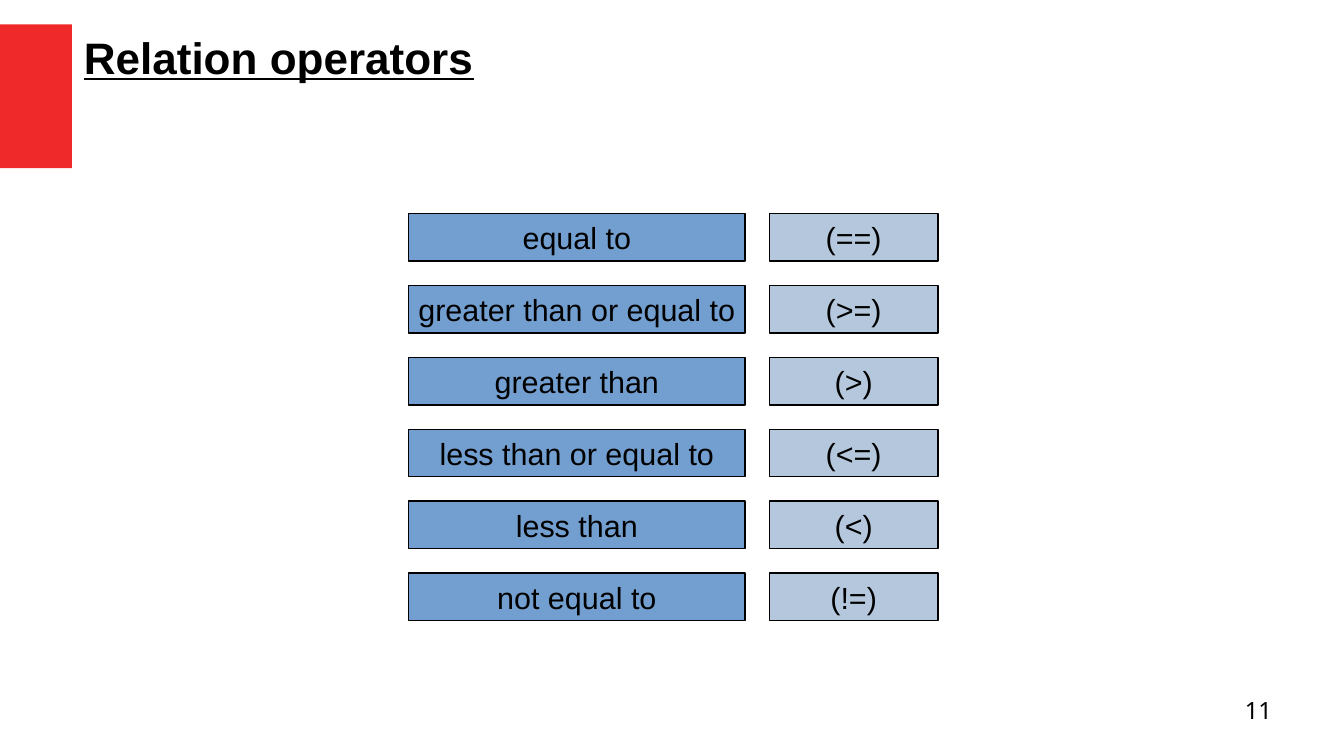
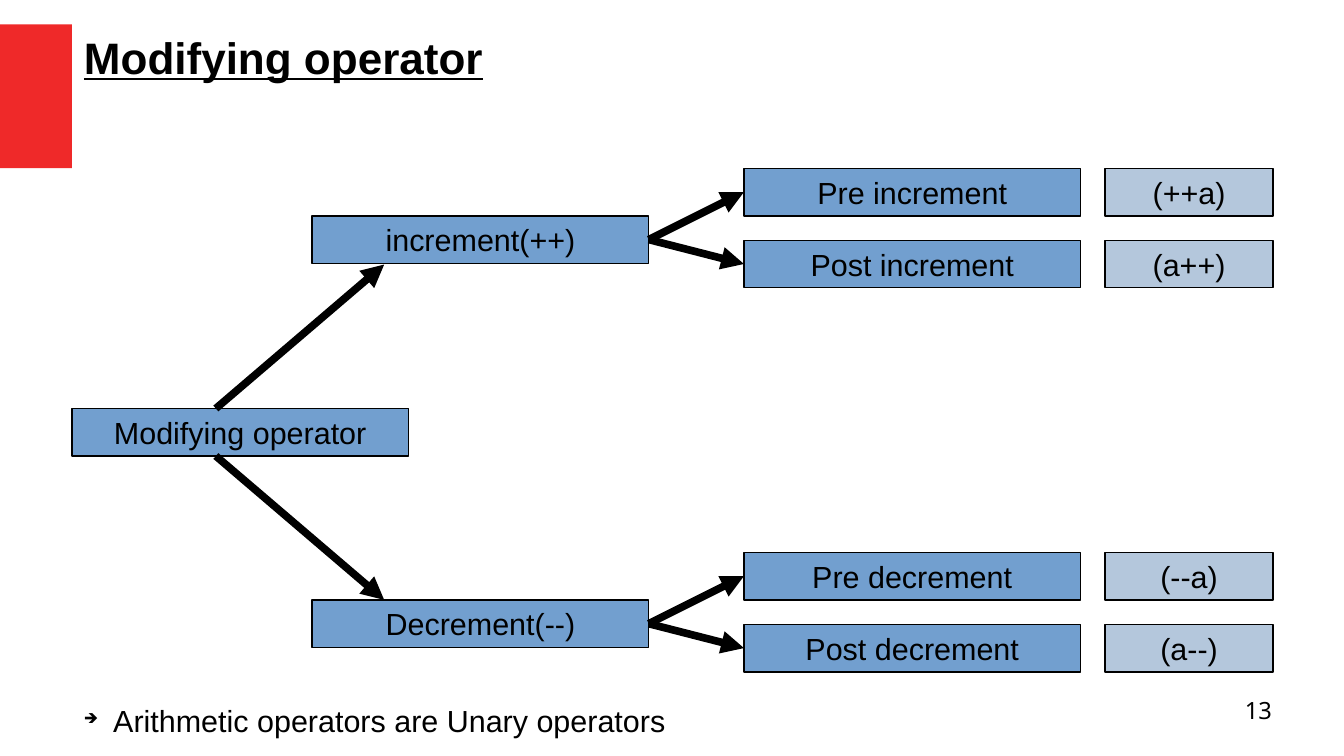
from lxml.etree import SubElement
from pptx import Presentation
from pptx.dml.color import RGBColor
from pptx.enum.shapes import MSO_CONNECTOR as CONN, MSO_SHAPE as SHAPE
from pptx.enum.text import MSO_ANCHOR as ANCHOR, PP_ALIGN as ALIGN
from pptx.oxml.ns import qn
from pptx.util import Inches, Pt

COLORS = {"band": "EF2929", "name": "729FCF", "symbol": "B4C7DC", "ink": "000000"}
FONT, NUMBER_FONT = "Arial", "Noto Sans"
NAME_W, SYMBOL_W, BOX_H = 2.76, 1.38, 0.39
GAP, ROW_STEP = 0.2, 0.59

RELATIONS = [
    ("equal to", "(==)"),
    ("greater than or equal to", "(>=)"),
    ("greater than", "(>)"),
    ("less than or equal to", "(<=)"),
    ("less than", "(<)"),
    ("not equal to", "(!=)"),
]
INCREMENTS = [("Pre increment", "(++a)"), ("Post increment", "(a++)")]
DECREMENTS = [("Pre decrement", "(--a)"), ("Post decrement", "(a--)")]


def rgb(key):
    """Return the named colour."""
    return RGBColor.from_string(COLORS[key])


def add_run(p, text, size, font=FONT, strong=False):
    """Add one run; strong text is bold and underlined."""
    r = p.add_run()
    r.text = text
    r.font.name, r.font.size = font, Pt(size)
    r.font.color.rgb = rgb("ink")
    if strong:
        r.font.bold = r.font.underline = True


def add_text(s, x, y, w, h):
    """Add a wrapping text box and return its frame."""
    tf = s.shapes.add_textbox(*map(Inches, (x, y, w, h))).text_frame
    tf.word_wrap = True
    return tf


def add_rect(s, x, y, w, h, fill):
    """Add a plain filled rectangle."""
    sp = s.shapes.add_shape(SHAPE.RECTANGLE, *map(Inches, (x, y, w, h)))
    sp.shadow.inherit = False
    sp.fill.solid()
    sp.fill.fore_color.rgb = rgb(fill)
    sp.line.fill.background()
    return sp


def add_box(s, x, y, text, w=NAME_W, fill="name"):
    """Add an outlined box with a centred label."""
    sp = add_rect(s, x, y, w, BOX_H, fill)
    sp.line.color.rgb = rgb("ink")
    sp.line.width = Pt(0.85)
    tf = sp.text_frame
    tf.word_wrap = False
    tf.vertical_anchor = ANCHOR.MIDDLE
    p = tf.paragraphs[0]
    p.alignment = ALIGN.CENTER
    add_run(p, text, 18)
    return sp


def add_rows(s, x, y, rows):
    """Stack name and symbol pairs, returning the name boxes."""
    names = []
    for i, (name, symbol) in enumerate(rows):
        top = y + i * ROW_STEP
        names.append(add_box(s, x, top, name))
        add_box(s, x + NAME_W + GAP, top, symbol, SYMBOL_W, "symbol")
    return names


def add_arrow(s, x1=0, y1=0, x2=0, y2=0):
    """Add a thick arrow."""
    c = s.shapes.add_connector(CONN.STRAIGHT, *map(Inches, (x1, y1, x2, y2)))
    c.line.color.rgb = rgb("ink")
    c.line.width = Pt(4.5)
    SubElement(c.line._get_or_add_ln(), qn("a:tailEnd"), type="triangle")
    SubElement(c._element.spPr, qn("a:effectLst"))
    return c


def add_branch(s, x, y, text, rows):
    """Add an operator box with arrows to its two forms."""
    operator = add_box(s, x, y, text)
    for form in add_rows(s, x + 3.54, y - ROW_STEP + GAP, rows):
        arrow = add_arrow(s)
        arrow.begin_connect(operator, 3)
        arrow.end_connect(form, 1)


def add_bullet(s, x, y, w, h, text):
    """Add a line of text led by an arrow bullet."""
    p = add_text(s, x, y, w, h).paragraphs[0]
    pPr = p._p.get_or_add_pPr()
    pPr.set("marL", str(Inches(0.24)))
    pPr.set("indent", str(-Inches(0.24)))
    color = SubElement(pPr, qn("a:buClr"))
    SubElement(color, qn("a:srgbClr"), val=COLORS["ink"])
    SubElement(pPr, qn("a:buSzPct"), val="45000")
    SubElement(pPr, qn("a:buChar"), char="➔")
    add_run(p, text, 18)


def new_slide(prs, title, number):
    """Add a slide with the red band, title and page number."""
    s = prs.slides.add_slide(prs.slide_layouts[6])
    add_rect(s, 0, 0.2, 0.59, 1.18, "band")
    add_run(add_text(s, 0.59, 0.2, 4.13, 0.5).paragraphs[0], title, 26, strong=True)
    tf = add_text(s, 7.87, 5.71, 2.56, 0.43)
    tf.margin_left = tf.margin_right = tf.margin_top = tf.margin_bottom = 0
    p = tf.paragraphs[0]
    p.alignment = ALIGN.RIGHT
    add_run(p, number, 14, NUMBER_FONT)
    return s


def relation_slide(prs):
    """Build the list of relation operators."""
    s = new_slide(prs, "Relation operators", "11")
    add_rows(s, 3.35, 1.75, RELATIONS)


def modifying_slide(prs):
    """Build the tree of modifying operators."""
    s = new_slide(prs, "Modifying operator", "13")
    x, y = 0.59, 3.35
    add_box(s, x, y, "Modifying operator")
    add_branch(s, x + 1.97, 1.77, "increment(++)", INCREMENTS)
    add_branch(s, x + 1.97, 4.92, "Decrement(--)", DECREMENTS)
    add_arrow(s, x + 1.18, y, x + 2.56, y - 1.18)
    add_arrow(s, x + 1.18, y + BOX_H, x + 2.56, y + BOX_H + 1.18)
    add_bullet(s, x, 5.71, 6.1, 0.66, "Arithmetic operators are Unary operators")


def main():
    """Build and save the presentation."""
    prs = Presentation()
    prs.slide_width, prs.slide_height = Inches(11.02), Inches(6.2)
    relation_slide(prs)
    modifying_slide(prs)
    prs.save("out.pptx")


if __name__ == "__main__":
    main()
